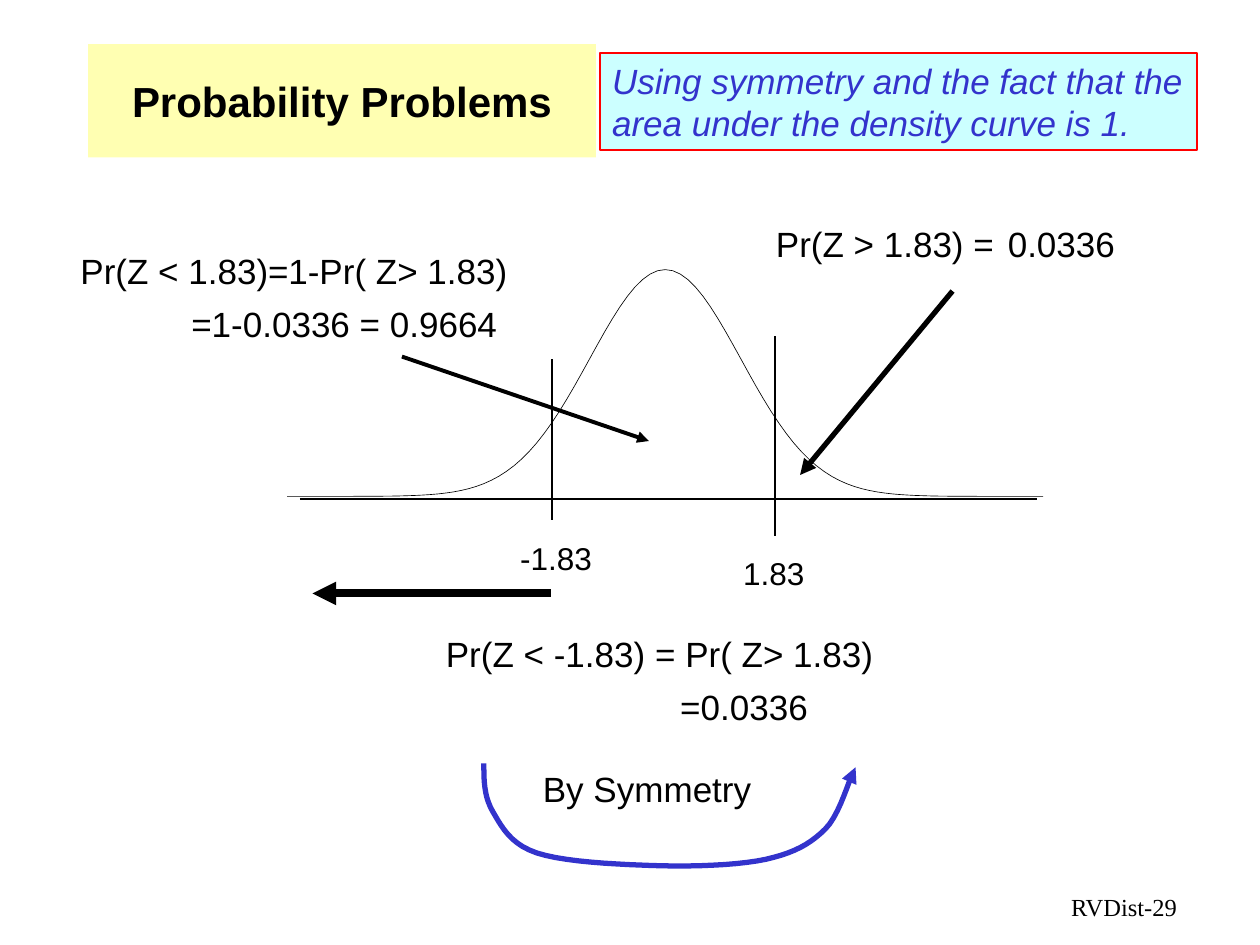
from dataclasses import dataclass
from math import exp
from typing import NamedTuple

from lxml.etree import SubElement
from pptx import Presentation
from pptx.dml.color import RGBColor
from pptx.enum.shapes import MSO_CONNECTOR, MSO_SHAPE
from pptx.enum.text import MSO_ANCHOR, MSO_AUTO_SIZE, PP_ALIGN
from pptx.oxml.ns import qn
from pptx.util import Inches, Pt


@dataclass(frozen=True)
class Theme:
    black: str = "000000"
    blue: str = "3333CC"
    red: str = "FF0000"
    pale_cyan: str = "CCFFFF"
    yellow: str = "FFFF66"
    sans: str = "Arial"
    serif: str = "Times New Roman"
    title_size: float = 24
    body_size: float = 20
    tick_size: float = 18
    footer_size: float = 14


THEME = Theme()


class Point(NamedTuple):
    x: float
    y: float


class Box(NamedTuple):
    left: float
    top: float
    width: float
    height: float

    def lengths(self) -> list:
        return [Inches(value) for value in self]


class Label(NamedTuple):
    text: str
    box: Box
    size: float = THEME.body_size


class Line(NamedTuple):
    start: Point
    end: Point
    width: float = 1
    arrow: bool = False


# Probability statements and the values under the axis
LABELS = [
    Label("Pr(Z > 1.83) =", Box(6.06, 1.72, 1.93, 0.44)),
    Label("0.0336", Box(7.9, 1.72, 1.05, 0.44)),
    Label("Pr(Z < 1.83)=", Box(0.54, 1.93, 1.85, 0.44)),
    Label("1-Pr( Z> 1.83)", Box(2.19, 1.93, 1.94, 0.44)),
    Label("=1-0.0336 = 0.9664", Box(1.42, 2.35, 2.63, 0.44)),
    Label("Pr(Z < -1.83) =", Box(3.44, 4.97, 2.02, 0.44)),
    Label("Pr( Z> 1.83)", Box(5.34, 4.97, 1.69, 0.44)),
    Label("=0.0336", Box(5.3, 5.39, 1.21, 0.44)),
    Label("By Symmetry", Box(4.21, 6.04, 1.85, 0.44)),
    Label("1.83", Box(5.8, 4.35, 0.68, 0.4), THEME.tick_size),
    Label("-1.83", Box(4.03, 4.23, 0.77, 0.4), THEME.tick_size),
]

# Axis, the two cut-offs, and the arrows to the areas
LINES = [
    Line(Point(2.38, 3.96), Point(8.23, 3.96)),
    Line(Point(6.15, 2.67), Point(6.15, 4.25)),
    Line(Point(4.38, 2.85), Point(4.38, 4.13)),
    Line(Point(3.19, 2.83), Point(5.15, 3.5), 2.25, True),
    Line(Point(4.37, 4.71), Point(2.48, 4.71), 4.5, True),
    Line(Point(7.56, 2.31), Point(6.35, 3.77), 3, True),
]

# Normal curve: peak, base and standard deviation in inches
CURVE_PEAK = Point(5.28, 2.14)
CURVE_BASE = 3.94
CURVE_SIGMA = 0.6

# Symmetry arrow: a start point, then three Bezier points per segment
SYMMETRY_POINTS = [Point(*pair) for pair in (
    (3.84, 6.06),
    (3.84, 6.19), (3.84, 6.32), (3.91, 6.44),
    (3.98, 6.56), (4.05, 6.7), (4.26, 6.77),
    (4.47, 6.84), (4.88, 6.86), (5.18, 6.87),
    (5.48, 6.88), (5.85, 6.87), (6.08, 6.82),
    (6.3, 6.77), (6.43, 6.7), (6.55, 6.58),
    (6.67, 6.46), (6.74, 6.17), (6.79, 6.09),
)]


def write_text(shape, text: str, size: float, color: str = THEME.black,
               align=PP_ALIGN.LEFT, **font_values) -> None:
    paragraph = shape.text_frame.paragraphs[0]
    paragraph.text = text
    paragraph.alignment = align
    values = {"name": THEME.sans, "size": Pt(size), "bold": False, "italic": False}
    for name, value in (values | font_values).items():
        setattr(paragraph.font, name, value)
    paragraph.font.color.rgb = RGBColor.from_string(color)


def style_line(line, color: str, width: float, arrow: bool = False) -> None:
    line.color.rgb = RGBColor.from_string(color)
    line.width = Pt(width)
    if arrow:
        SubElement(line._get_or_add_ln(), qn("a:tailEnd"), type="triangle")


def add_label(slide, label: Label) -> None:
    shape = slide.shapes.add_textbox(*label.box.lengths())
    shape.text_frame.word_wrap = False
    shape.text_frame.auto_size = MSO_AUTO_SIZE.SHAPE_TO_FIT_TEXT
    shape.text_frame.margin_right = 0  # room to keep the label on one line
    write_text(shape, label.text, label.size)


def add_line(slide, line: Line) -> None:
    ends = [Inches(value) for value in (*line.start, *line.end)]
    connector = slide.shapes.add_connector(MSO_CONNECTOR.STRAIGHT, *ends)
    style_line(connector.line, THEME.black, line.width, line.arrow)
    SubElement(connector._element.spPr, qn("a:effectLst"))


def add_curve(slide, points: list[Point], color: str, width: float,
              arrow: bool = False) -> None:
    start, *others = [(Inches(point.x), Inches(point.y)) for point in points]
    builder = slide.shapes.build_freeform(*start)
    builder.add_line_segments(others, close=False)
    shape = builder.convert_to_shape()
    shape.shadow.inherit = False
    shape.fill.background()
    style_line(shape.line, color, width, arrow)


def normal_points() -> list[Point]:
    scores = [step / 10 for step in range(-50, 51)]
    height = CURVE_BASE - CURVE_PEAK.y
    return [Point(CURVE_PEAK.x + CURVE_SIGMA * z, CURVE_BASE - height * exp(-z * z / 2))
            for z in scores]


def bezier_points(controls: list[Point], steps: int = 10) -> list[Point]:
    points = [controls[0]]
    for first in range(0, len(controls) - 1, 3):
        segment = controls[first:first + 4]
        for step in range(1, steps + 1):
            t = step / steps
            weights = ((1 - t) ** 3, 3 * t * (1 - t) ** 2, 3 * t * t * (1 - t), t ** 3)
            points.append(Point(sum(w * p.x for w, p in zip(weights, segment)),
                                sum(w * p.y for w, p in zip(weights, segment))))
    return points


def add_title(slide) -> None:
    title = slide.shapes.title
    title.left, title.top, title.width, title.height = Box(0.7, 0.35, 4.03, 0.9).lengths()
    title.fill.solid()
    title.fill.fore_color.rgb = RGBColor.from_string(THEME.yellow)
    color = title._element.spPr.find(".//" + qn("a:srgbClr"))
    SubElement(color, qn("a:alpha"), val="50000")
    title.text_frame.vertical_anchor = MSO_ANCHOR.MIDDLE
    write_text(title, "Probability Problems", THEME.title_size,
               align=PP_ALIGN.CENTER, bold=True)


def add_hint(slide) -> None:
    hint = slide.shapes.add_shape(MSO_SHAPE.RECTANGLE, *Box(4.76, 0.42, 4.74, 0.77).lengths())
    hint.shadow.inherit = False
    hint.fill.solid()
    hint.fill.fore_color.rgb = RGBColor.from_string(THEME.pale_cyan)
    style_line(hint.line, THEME.red, 1)
    hint.text_frame.word_wrap = True
    hint.text_frame.vertical_anchor = MSO_ANCHOR.TOP
    write_text(hint, "Using symmetry and the fact that the area under the density curve is 1.",
               THEME.body_size, THEME.blue, italic=True)


def add_footer(slide) -> None:
    footer = slide.shapes.add_textbox(*Box(7.17, 7.03, 2.27, 0.3).lengths())
    footer.text_frame.word_wrap = True
    write_text(footer, "RVDist-29", THEME.footer_size, align=PP_ALIGN.RIGHT, name=THEME.serif)


def main() -> None:
    presentation = Presentation()
    presentation.slide_width, presentation.slide_height = Inches(10), Inches(7.5)
    slide = presentation.slides.add_slide(presentation.slide_layouts[5])
    add_title(slide)
    add_hint(slide)
    add_curve(slide, normal_points(), THEME.black, 0.37)
    for line in LINES:
        add_line(slide, line)
    for label in LABELS:
        add_label(slide, label)
    add_curve(slide, bezier_points(SYMMETRY_POINTS), THEME.blue, 3, arrow=True)
    add_footer(slide)
    presentation.save("out.pptx")


if __name__ == "__main__":
    main()
